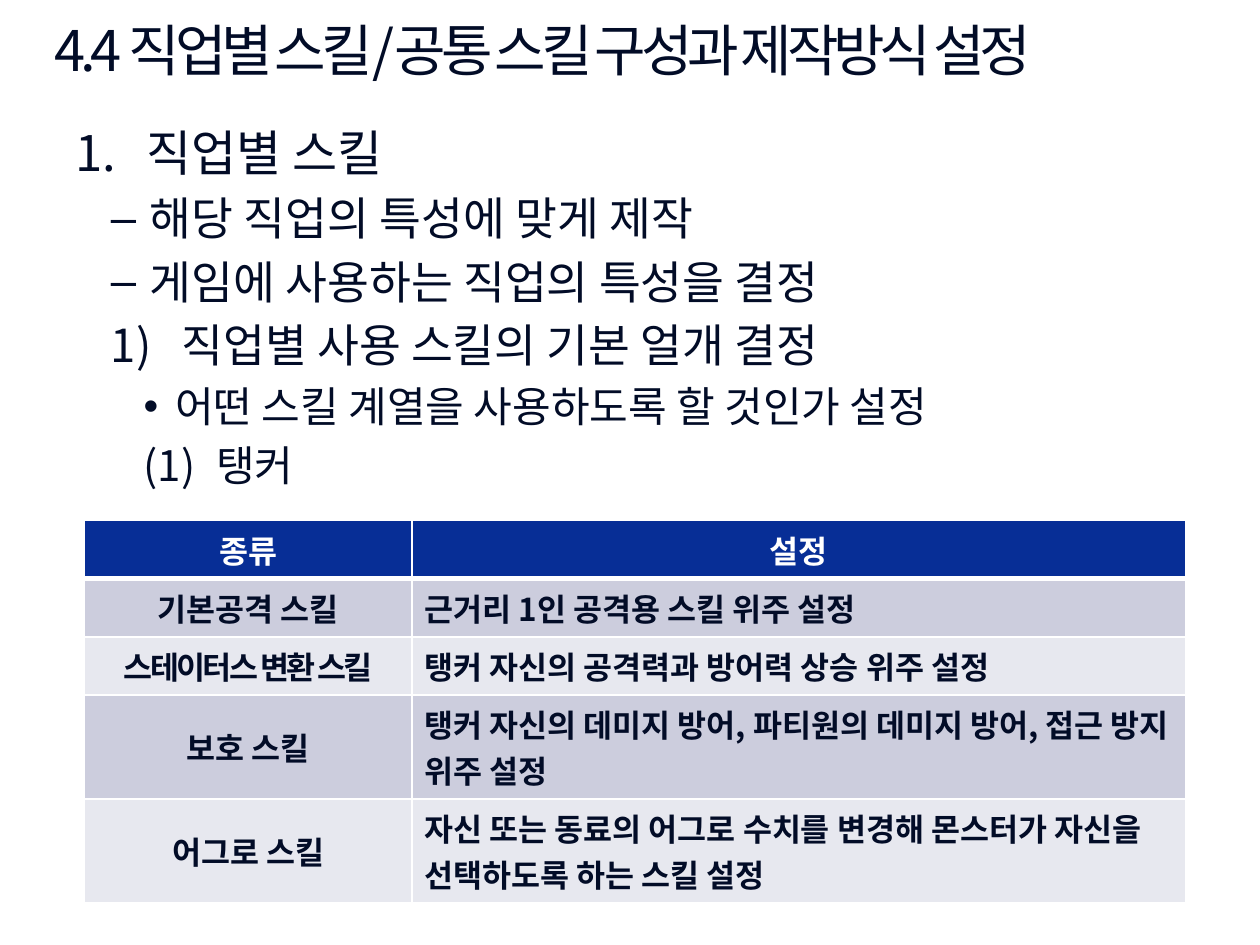
from dataclasses import dataclass

from lxml.etree import SubElement
from pptx import Presentation
from pptx.dml.color import RGBColor
from pptx.enum.text import MSO_ANCHOR, MSO_AUTO_SIZE, PP_ALIGN
from pptx.oxml.ns import qn
from pptx.util import Inches, Pt

FONT = "Noto Sans CJK KR"
INK = RGBColor(0x02, 0x0C, 0x27)
WHITE = RGBColor(0xFF, 0xFF, 0xFF)
NAVY = RGBColor(0x07, 0x2E, 0x96)
BANDS = (RGBColor(0xCC, 0xCD, 0xDD), RGBColor(0xE7, 0xE8, 0xEF))
SIZES = (28, 26, 24)


@dataclass
class Item:
    text: str
    level: int
    left: float
    hang: float
    number: str = ""


@dataclass
class Skill:
    kind: str
    detail: str
    space: float = 0


ITEMS = (
    Item("직업별 스킬", 0, 0.56, 0.56, "arabicPeriod"),
    Item("해당 직업의 특성에 맞게 제작", 1, 0.59, 0.31),
    Item("게임에 사용하는 직업의 특성을 결정", 1, 0.59, 0.31),
    Item("직업별 사용 스킬의 기본 얼개 결정", 1, 0.84, 0.56, "arabicParenR"),
    Item("어떤 스킬 계열을 사용하도록 할 것인가 설정", 2, 0.79, 0.25),
    Item(" 탱커", 2, 1.04, 0.5, "arabicParenBoth"),
)
SKILLS = (
    Skill("기본공격 스킬", "근거리 1인 공격용 스킬 위주 설정"),
    Skill("스테이터스 변환 스킬", "탱커 자신의 공격력과 방어력 상승 위주 설정", -1.5),
    Skill("보호 스킬", "탱커 자신의 데미지 방어, 파티원의 데미지 방어, 접근 방지 위주 설정"),
    Skill("어그로 스킬", "자신 또는 동료의 어그로 수치를 변경해 몬스터가 자신을 선택하도록 하는 스킬 설정"),
)


def write(para, text: str, *, size: float, color=INK, bold=False,
          align=PP_ALIGN.LEFT, space: float = 0) -> None:
    para.alignment = align
    run = para.add_run()
    run.text = text
    font = run.font
    font.size, font.bold, font.name = Pt(size), bold, FONT
    font.color.rgb = color
    props = run._r.get_or_add_rPr()
    SubElement(props, qn("a:ea"), typeface=FONT)
    if space:
        props.set("spc", str(int(space * 100)))


def place(shape, left: float, top: float, width: float, height: float) -> None:
    shape.left, shape.top = Inches(left), Inches(top)
    shape.width, shape.height = Inches(width), Inches(height)
    shape.text_frame.auto_size = MSO_AUTO_SIZE.NONE


def add_item(para, item: Item) -> None:
    para.level = item.level
    write(para, item.text, size=SIZES[item.level], align=PP_ALIGN.JUSTIFY)
    props = para._p.get_or_add_pPr()
    props.set("marL", str(Inches(item.left)))
    props.set("indent", str(-Inches(item.hang)))
    if item.number:
        SubElement(props, qn("a:buFont"), typeface="+mj-lt")
        SubElement(props, qn("a:buAutoNum"), type=item.number)


def edge(cell, head: bool) -> None:
    props = cell._tc.get_or_add_tcPr()
    for side in "LRTB":
        width = 3 if head and side == "B" else 1
        line = SubElement(props, qn(f"a:ln{side}"), w=str(Pt(width)))
        fill = SubElement(line, qn("a:solidFill"))
        SubElement(fill, qn("a:srgbClr"), val=str(WHITE))


def add_cell(cell, text: str, fill: RGBColor, *, head=False,
             mid=True, space: float = 0) -> None:
    edge(cell, head)
    cell.fill.solid()
    cell.fill.fore_color.rgb = fill
    cell.vertical_anchor = MSO_ANCHOR.MIDDLE if mid else MSO_ANCHOR.TOP
    write(cell.text_frame.paragraphs[0], text, size=18, bold=True,
          color=WHITE if head else INK, space=space,
          align=PP_ALIGN.CENTER if mid else PP_ALIGN.LEFT)


def add_grid(slide) -> None:
    rows = len(SKILLS) + 1
    grid = slide.shapes.add_table(rows, 2, Inches(0.67), Inches(4.13),
                                  Inches(8.74), Inches(0.41 * rows)).table
    grid.columns[0].width, grid.columns[1].width = Inches(2.6), Inches(6.14)
    for col, text in enumerate(("종류", "설정")):
        add_cell(grid.cell(0, col), text, NAVY, head=True)
    for row, skill in enumerate(SKILLS, 1):
        band = BANDS[(row - 1) % 2]
        add_cell(grid.cell(row, 0), skill.kind, band, space=skill.space)
        add_cell(grid.cell(row, 1), skill.detail, band, mid=False)


def main() -> None:
    deck = Presentation()
    deck.slide_width, deck.slide_height = Inches(10), Inches(7.5)
    slide = deck.slides.add_slide(deck.slide_layouts[1])
    title, body = slide.placeholders
    place(title, 0.33, 0, 9, 0.78)
    title.text_frame.vertical_anchor = MSO_ANCHOR.MIDDLE
    write(title.text_frame.paragraphs[0],
          "4.4 직업별 스킬/공통 스킬 구성과 제작방식 설정", size=32, space=-3)
    place(body, 0.5, 0.92, 9, 5.98)
    frame = body.text_frame
    for index, item in enumerate(ITEMS):
        add_item(frame.add_paragraph() if index else frame.paragraphs[0], item)
    add_grid(slide)
    deck.save("out.pptx")


if __name__ == "__main__":
    main()
